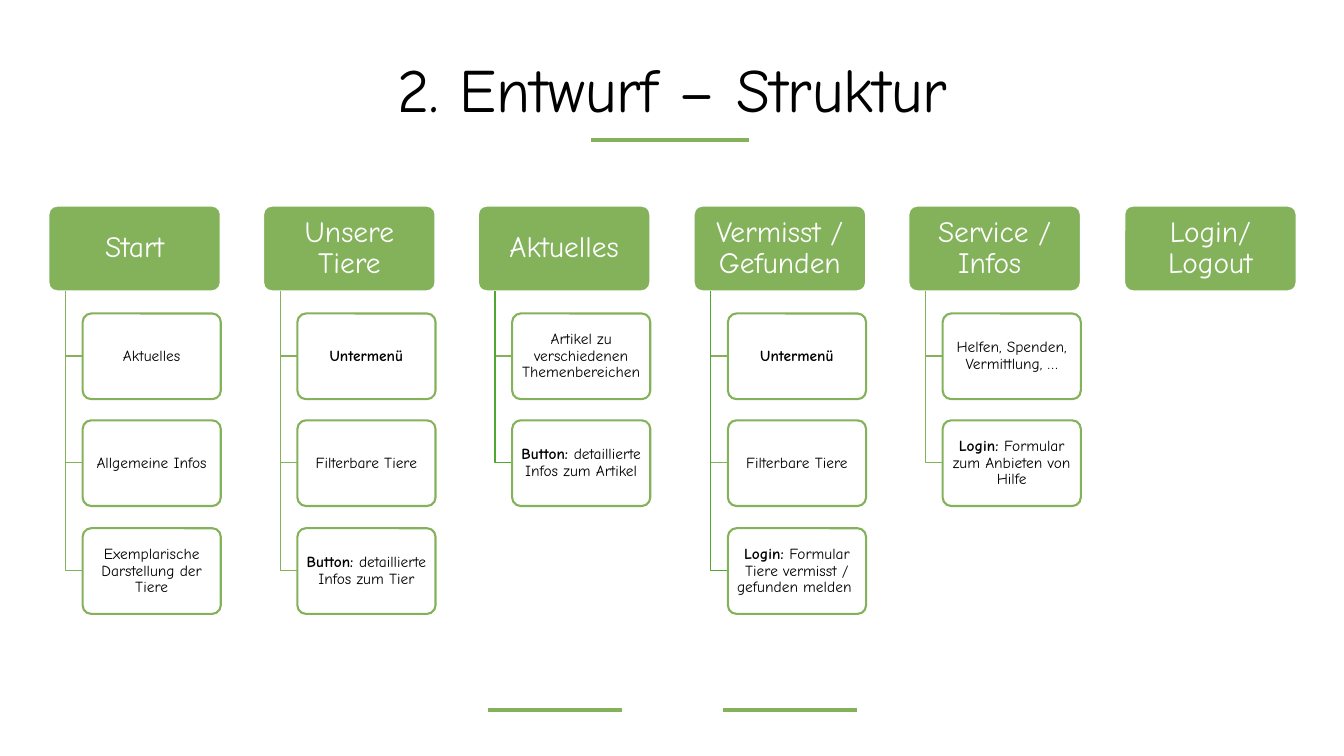
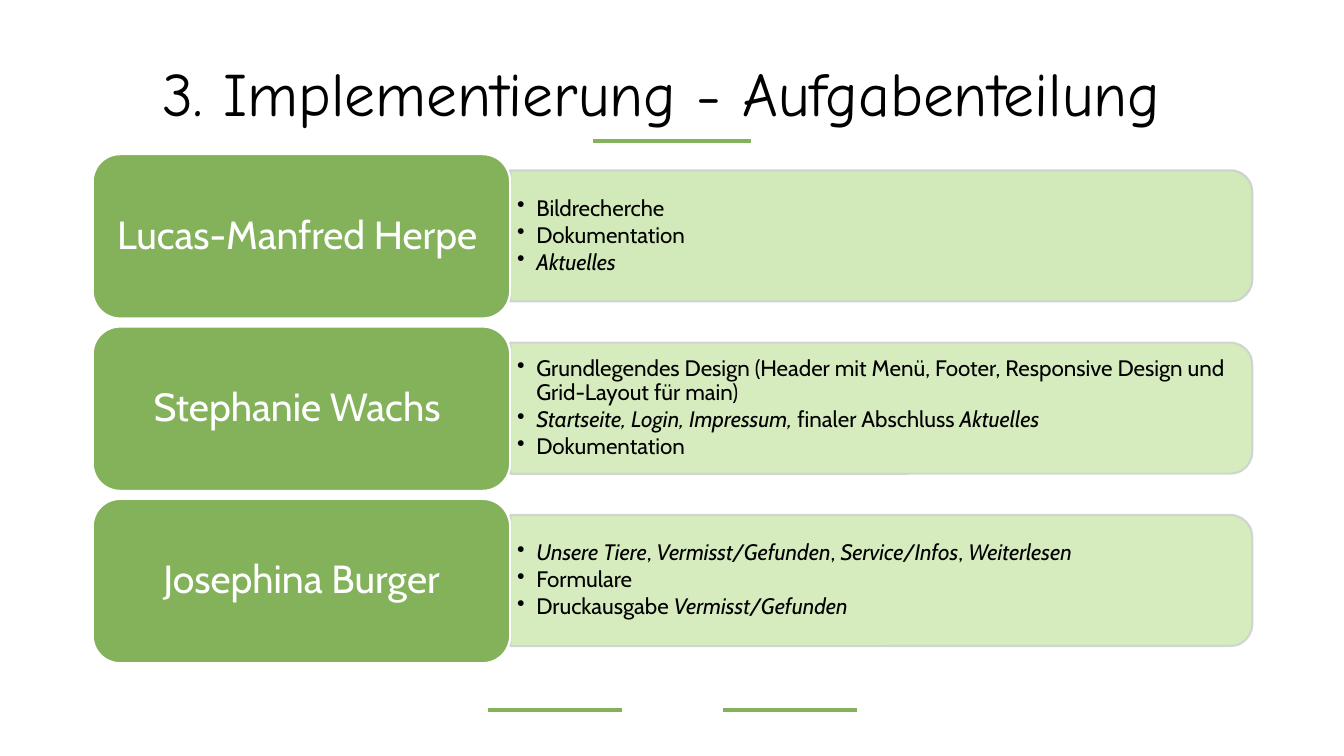
"""Build two slides: a site structure tree and a division of tasks."""
import pptx
import pptx.dml.color
import pptx.enum.shapes
import pptx.enum.text
import pptx.oxml
import pptx.oxml.ns
import pptx.util

PX = 9144
GREEN = pptx.dml.color.RGBColor(0x83, 0xB2, 0x5B)
DEEP_GREEN = pptx.dml.color.RGBColor(0x4E, 0xA7, 0x2E)
PALE_GREEN = pptx.dml.color.RGBColor(0xD2, 0xEA, 0xB9)
PALE_GREY = pptx.dml.color.RGBColor(0xCC, 0xD4, 0xCD)
WHITE = pptx.dml.color.RGBColor(0xFF, 0xFF, 0xFF)
BLACK = pptx.dml.color.RGBColor(0, 0, 0)
HAND_FONT = "Comic Neue"
PLAIN_FONT = "Cabin"
SHAPES = pptx.enum.shapes.MSO_SHAPE
ALIGN = pptx.enum.text.PP_ALIGN

COLUMNS = [
    ("Start", [["Aktuelles"], ["Allgemeine Infos"],
               ["Exemplarische Darstellung der Tiere"]]),
    ("Unsere Tiere", [[("Untermenü", "bold")], ["Filterbare Tiere"],
                      [("Button: ", "bold"), "detaillierte Infos zum Tier"]]),
    ("Aktuelles", [["Artikel zu verschiedenen Themenbereichen"],
                   [("Button: ", "bold"), "detaillierte Infos zum Artikel"]]),
    ("Vermisst / Gefunden", [[("Untermenü", "bold")], ["Filterbare Tiere"],
                             [("Login: ", "bold"),
                              "Formular Tiere vermisst / gefunden melden "]]),
    ("Service / Infos ", [["Helfen, Spenden, Vermittlung, …"],
                          [("Login: ", "bold"), "Formular zum Anbieten von Hilfe"]]),
    ("Login/ Logout", []),
]
DEEP_BRANCHES = {(2, 1), (3, 2)}

TASKS = [
    ("Lucas-Manfred Herpe ",
     [["Bildrecherche"], ["Dokumentation"], [("Aktuelles", "italic")]]),
    ("Stephanie Wachs ",
     [["Grundlegendes Design (Header mit Menü, Footer, Responsive Design und "
       "Grid-Layout für main)"],
      [("Startseite, Login, Impressum, ", "italic"), "finaler Abschluss ",
       ("Aktuelles", "italic")],
      ["Dokumentation"]]),
    ("Josephina Burger",
     [[("Unsere Tiere", "italic"), ", ", ("Vermisst/Gefunden", "italic"), ", ",
       ("Service/Infos", "italic"), ", ", ("Weiterlesen", "italic")],
      ["Formulare"],
      ["Druckausgabe ", ("Vermisst/Gefunden", "italic")]]),
]


def px(*lengths):
    """Turn px lengths into EMU."""
    return [pptx.util.Emu(length * PX) for length in lengths]


def add_bullet(para, indent):
    """Give a paragraph a hanging bullet."""
    properties = para._p.get_or_add_pPr()
    properties.set("marL", str(indent * PX))
    properties.set("indent", str(-indent * PX))
    bullet = pptx.oxml.parse_xml(
        f'<a:buChar {pptx.oxml.ns.nsdecls("a")} char="•"/>')
    properties.append(bullet)


def write_text(shape, paragraphs, size, font=HAND_FONT, color=BLACK,
               align=ALIGN.CENTER, inset=(10, 5), indent=0, gap=0):
    """Fill a shape with paragraphs of runs; a styled run is (text, style)."""
    frame = shape.text_frame
    frame.word_wrap = True
    frame.vertical_anchor = pptx.enum.text.MSO_ANCHOR.MIDDLE
    frame.margin_left = frame.margin_right = px(inset[0])[0]
    frame.margin_top = frame.margin_bottom = px(inset[1])[0]
    for index, runs in enumerate(paragraphs):
        para = frame.add_paragraph() if index else frame.paragraphs[0]
        if indent:
            add_bullet(para, indent)
        para.alignment = align
        para.line_spacing = 0.9
        para.space_after = pptx.util.Pt(gap)
        for run in runs:
            text, style = (run, None) if isinstance(run, str) else run
            span = para.add_run()
            span.text = text
            span.font.name = font
            span.font.size = pptx.util.Pt(size)
            span.font.color.rgb = color
            span.font.bold = style == "bold"
            span.font.italic = style == "italic"


def add_box(page, kind, box, fill, line, corner=None):
    """Add a filled and outlined preset shape."""
    shape = page.shapes.add_shape(kind, *px(*box))
    shape.shadow.inherit = False
    shape.fill.solid()
    shape.fill.fore_color.rgb = fill
    shape.line.color.rgb = line
    shape.line.width = pptx.util.Pt(1.5)
    if corner is not None:
        shape.adjustments[0] = corner
    return shape


def set_opacity(shape, percent):
    """Make every solid colour of a shape partly transparent."""
    for color in shape._element.spPr.iter(pptx.oxml.ns.qn("a:srgbClr")):
        color.append(pptx.oxml.parse_xml(
            f'<a:alpha {pptx.oxml.ns.nsdecls("a")} val="{percent * 1000}"/>'))


def add_rule(page, left, top, width):
    """Add a thick green horizontal line."""
    rule = page.shapes.add_connector(
        pptx.enum.shapes.MSO_CONNECTOR.STRAIGHT, *px(left, top, left + width, top))
    rule.line.color.rgb = GREEN
    rule.line.width = pptx.util.Pt(3)
    rule._element.spPr.append(pptx.oxml.parse_xml(
        f'<a:effectLst {pptx.oxml.ns.nsdecls("a")}/>'))


def add_page(deck, title, title_box, underline):
    """Add a page with its title, title underline and footer rules."""
    page = deck.slides.add_slide(deck.slide_layouts[6])
    write_text(page.shapes.add_textbox(*px(*title_box)), [[title]], 44)
    add_rule(page, *underline, 157)
    for left in (484, 717):
        add_rule(page, left, 704, 133)
    return page


def add_branch(page, left, top, width, height, color):
    """Add the elbow line from a heading down to a card."""
    builder = page.shapes.build_freeform(*px(left, top))
    builder.add_line_segments(
        [px(left, top + height), px(left + width, top + height)], close=False)
    branch = builder.convert_to_shape()
    branch.shadow.inherit = False
    branch.fill.background()
    branch.line.color.rgb = color
    branch.line.width = pptx.util.Pt(1)


def add_column(page, left, top, heading, cards, deep_rows):
    """Add a heading with its cards hanging below."""
    width, height = 171, 85
    head = add_box(page, SHAPES.ROUNDED_RECTANGLE, (left, top, width, height),
                   GREEN, WHITE, 0.1)
    write_text(head, [[heading]], 21, color=WHITE, inset=(4, 3))
    for row, runs in enumerate(cards):
        card_top = top + 107 + row * 213 // 2
        add_branch(page, left + 17, top + height, 17,
                   card_top + height // 2 - top - height,
                   DEEP_GREEN if row in deep_rows else GREEN)
        card = add_box(page, SHAPES.ROUNDED_RECTANGLE,
                       (left + 34, card_top, width - 34, height), WHITE, GREEN, 0.1)
        write_text(card, [runs], 11, inset=(2, 2))


def add_task_row(page, left, top, name, tasks, opacity):
    """Add a name box and the panel of tasks on its right."""
    name_width, name_height, panel_width, panel_height = 414, 163, 736, 130
    panel_left, panel_top = left + name_width, top + 16
    shift = (panel_width - panel_height) // 2
    panel = add_box(page, SHAPES.ROUND_2_SAME_RECTANGLE,
                    (panel_left + shift, panel_top - shift, panel_height, panel_width),
                    PALE_GREEN, PALE_GREY)
    panel.rotation = 90
    set_opacity(panel, opacity)
    task_list = page.shapes.add_textbox(
        *px(panel_left, panel_top + 6, panel_width - 6, panel_height - 12))
    write_text(task_list, tasks, 16, font=PLAIN_FONT, align=ALIGN.LEFT,
               inset=(7, 3), indent=19, gap=2)
    name_box = add_box(page, SHAPES.ROUNDED_RECTANGLE,
                       (left, top, name_width, name_height), GREEN, WHITE)
    write_text(name_box, [[name]], 28, font=PLAIN_FONT, color=WHITE, inset=(12, 6))


def build_structure(deck):
    """Build the page with the site structure."""
    page = add_page(deck, "2. Entwurf – Struktur", (34, 18, 1266, 148), (586, 139))
    for index, (heading, cards) in enumerate(COLUMNS):
        deep_rows = [row for column, row in DEEP_BRANCHES if column == index]
        add_column(page, 48 + index * 1067 // 5, 204, heading, cards, deep_rows)


def build_tasks(deck):
    """Build the page with the division of tasks."""
    page = add_page(deck, "3. Implementierung - Aufgabenteilung ",
                    (29, 22, 1275, 148), (588, 140))
    for index, (name, tasks) in enumerate(TASKS):
        add_task_row(page, 92, 153 + index * 171, name, tasks, 90 if index else 100)


def main():
    """Build and save the deck."""
    deck = pptx.Presentation()
    deck.slide_width, deck.slide_height = px(1333, 750)
    build_structure(deck)
    build_tasks(deck)
    deck.save("out.pptx")


if __name__ == "__main__":
    main()
